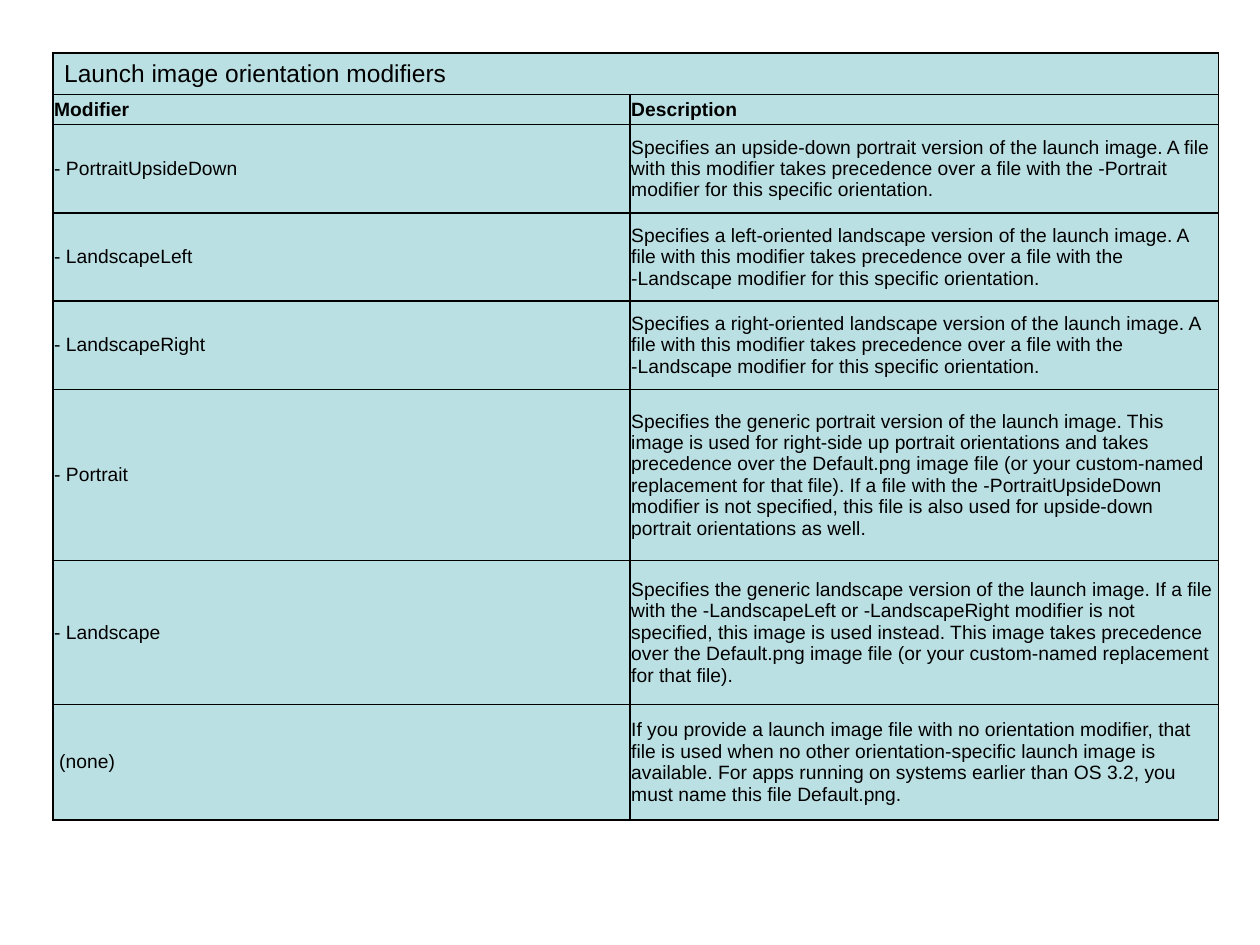
import pptx
import pptx.dml.color
import pptx.enum.text
import pptx.oxml
import pptx.oxml.ns
import pptx.util

Inches = pptx.util.Inches
Pt = pptx.util.Pt
RGBColor = pptx.dml.color.RGBColor

PALE_TEAL = RGBColor(0xBB, 0xE0, 0xE3)
BLACK = RGBColor(0x00, 0x00, 0x00)

TITLE = "Launch image orientation modifiers"
ROWS = [
    ("Modifier", "Description"),
    ("- PortraitUpsideDown",
     "Specifies an upside-down portrait version of the launch image. A file with this "
     "modifier takes precedence over a file with the -Portrait modifier for this "
     "specific orientation."),
    ("- LandscapeLeft",
     "Specifies a left-oriented landscape version of the launch image. A file with this "
     "modifier takes precedence over a file with the -Landscape modifier for this "
     "specific orientation."),
    ("- LandscapeRight",
     "Specifies a right-oriented landscape version of the launch image. A file with this "
     "modifier takes precedence over a file with the -Landscape modifier for this "
     "specific orientation."),
    ("- Portrait",
     "Specifies the generic portrait version of the launch image. This image is used for "
     "right-side up portrait orientations and takes precedence over the Default.png image "
     "file (or your custom-named replacement for that file). If a file with the "
     "-PortraitUpsideDown modifier is not specified, this file is also used for "
     "upside-down portrait orientations as well."),
    ("- Landscape",
     "Specifies the generic landscape version of the launch image. If a file with the "
     "-LandscapeLeft or -LandscapeRight modifier is not specified, this image is used "
     "instead. This image takes precedence over the Default.png image file (or your "
     "custom-named replacement for that file)."),
    ("(none)",
     "If you provide a launch image file with no orientation modifier, that file is used "
     "when no other orientation-specific launch image is available. For apps running on "
     "systems earlier than OS 3.2, you must name this file Default.png."),
]
COL_WIDTHS = [4.58, 4.67]
ROW_HEIGHTS = [0.33, 0.24, 0.7, 0.7, 0.7, 1.36, 1.14, 0.92]


def add_borders(cell):
    """Draw a thin line on all four sides of a cell."""
    tc_pr = cell._tc.get_or_add_tcPr()
    for i, side in enumerate(("lnL", "lnR", "lnT", "lnB")):
        tc_pr.insert(i, pptx.oxml.parse_xml(
            f'<a:{side} {pptx.oxml.ns.nsdecls("a")} w="{Pt(1)}">'
            f'<a:solidFill><a:srgbClr val="{BLACK}"/></a:solidFill></a:{side}>'))


# Slide
prs = pptx.Presentation()
prs.slide_width, prs.slide_height = Inches(10), Inches(7.5)
s = prs.slides.add_slide(prs.slide_layouts[6])

# Table grid
table = s.shapes.add_table(
    len(ROW_HEIGHTS), len(COL_WIDTHS), Inches(0.42), Inches(0.42),
    Inches(sum(COL_WIDTHS)), Inches(sum(ROW_HEIGHTS))).table
for column, width in zip(table.columns, COL_WIDTHS):
    column.width = Inches(width)
for row, height in zip(table.rows, ROW_HEIGHTS):
    row.height = Inches(height)
table.cell(0, 0).merge(table.cell(0, 1))

# Cell text and format
for i, texts in enumerate([(TITLE, "")] + ROWS):
    for j, text in enumerate(texts):
        cell = table.cell(i, j)
        cell.fill.solid()
        cell.fill.fore_color.rgb = PALE_TEAL
        add_borders(cell)
        cell.vertical_anchor = pptx.enum.text.MSO_ANCHOR.MIDDLE
        cell.margin_left = cell.margin_right = Inches(0.01)
        cell.margin_top = cell.margin_bottom = Inches(0.01)
        cell.text_frame.text = text
        for r in cell.text_frame.paragraphs[0].runs:
            r.font.name = "Arial"
            r.font.size = Pt(14 if i == 0 else 11)
            r.font.bold = i == 1
            r.font.color.rgb = BLACK

# Title and last modifier are set in a little
table.cell(0, 0).margin_left = Inches(0.09)
table.cell(len(ROWS), 0).margin_left = Inches(0.05)

prs.save("out.pptx")
